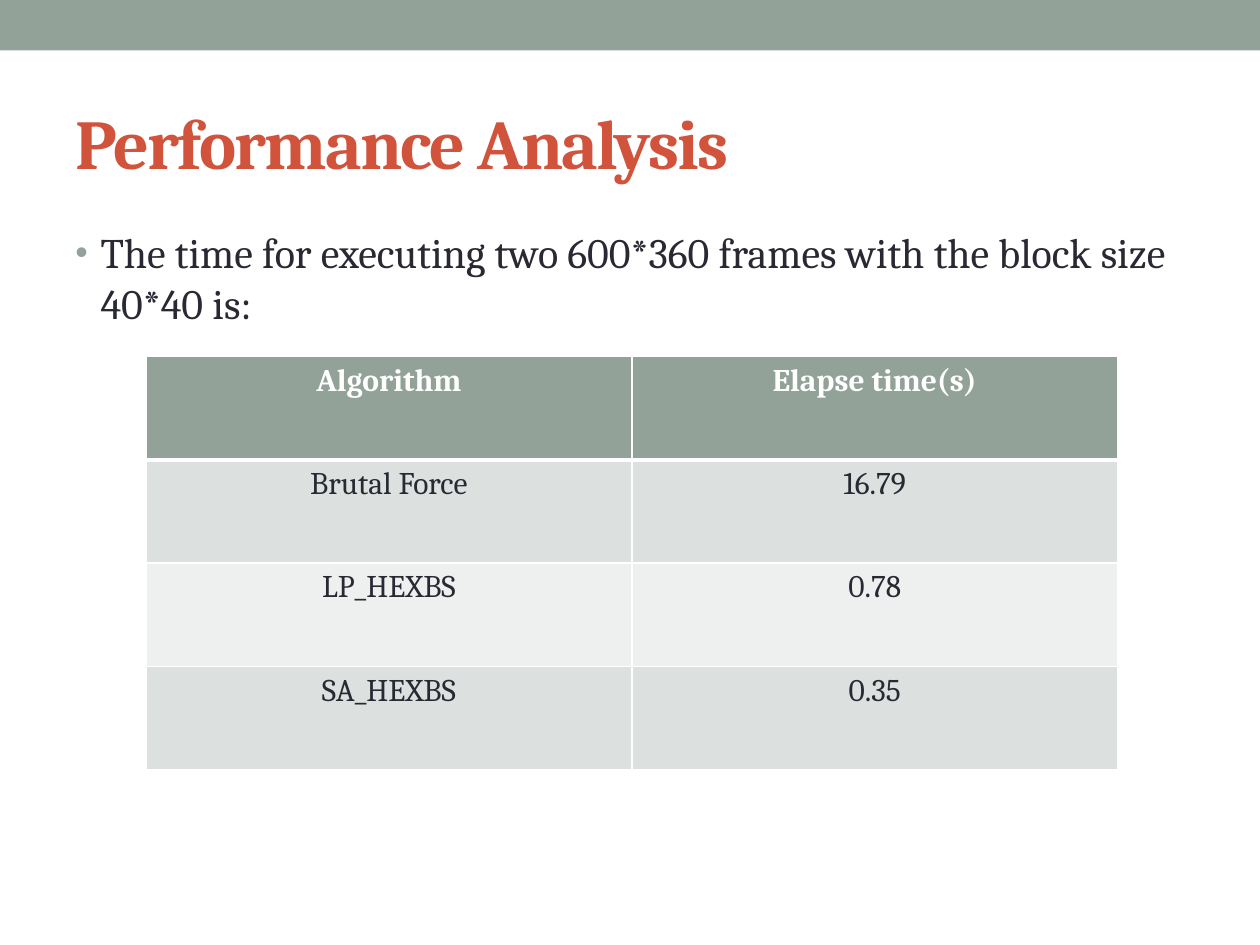
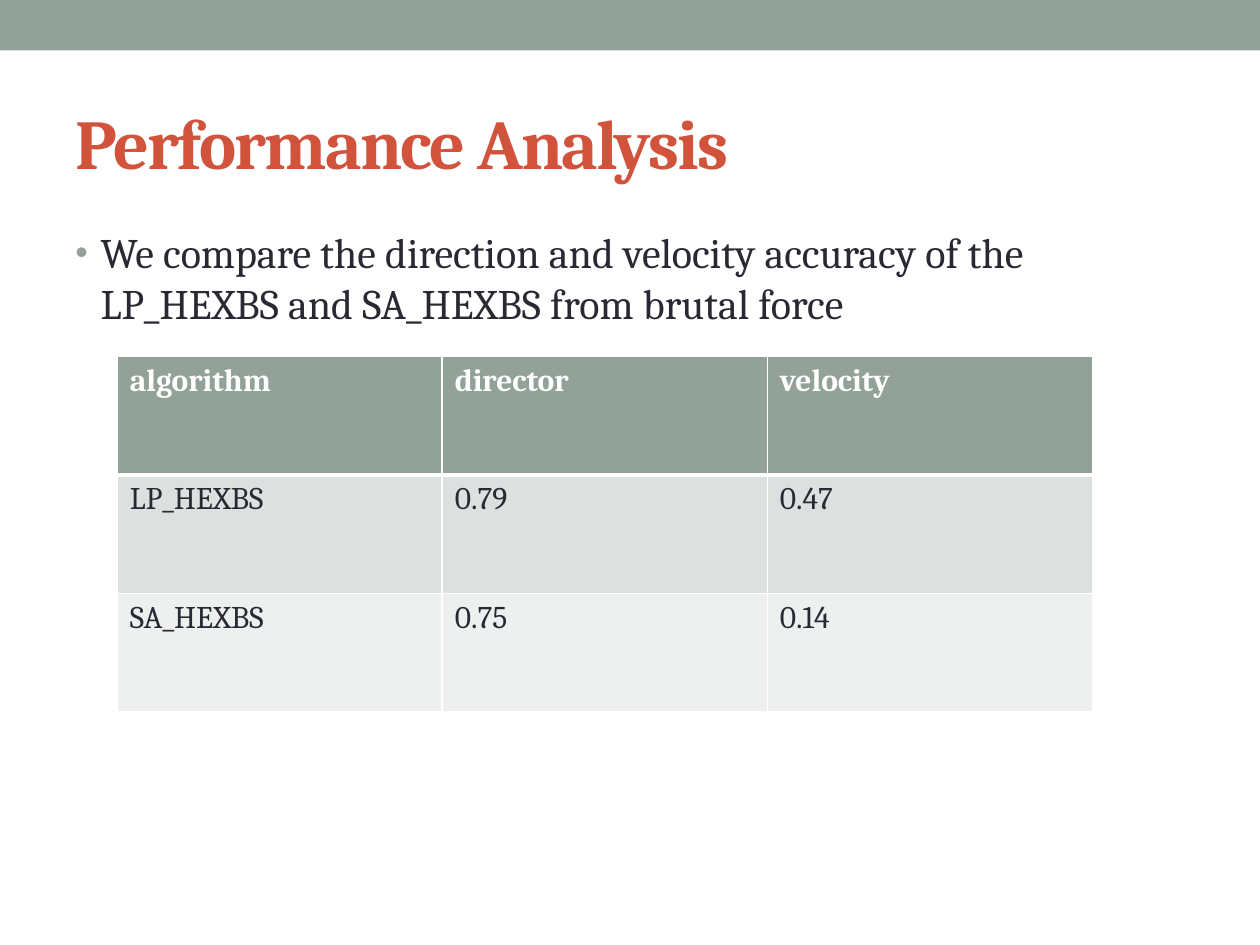
import pptx
import pptx.dml.color
import pptx.enum.shapes
import pptx.enum.text
import pptx.oxml
import pptx.oxml.ns
import pptx.util
from pptx.util import Inches

RGBColor = pptx.dml.color.RGBColor
SAGE = RGBColor(0x93, 0xA2, 0x99)
BRICK = RGBColor(0xD2, 0x53, 0x3C)
INK = RGBColor(0x29, 0x29, 0x34)
WHITE = RGBColor(0xFF, 0xFF, 0xFF)
ROW_SHADES = (RGBColor(0xDC, 0xE0, 0xDE), RGBColor(0xEE, 0xF0, 0xEF))
FONT = "Cambria"
LEFT_ALIGN = pptx.enum.text.PP_ALIGN.LEFT
CENTER_ALIGN = pptx.enum.text.PP_ALIGN.CENTER


def xml_element(markup):
    """Parse one element given without its "a:" namespace declaration."""
    tag, rest = markup[1:].split(" ", 1)
    return pptx.oxml.parse_xml(f"<{tag} {pptx.oxml.ns.nsdecls('a')} {rest}")


class SlideBuilder:
    """Draws the shared slide style on the current slide."""

    def __init__(self, deck):
        self.deck = deck
        self.slide = None

    def new_slide(self, title):
        self.slide = self.deck.slides.add_slide(self.deck.slide_layouts[6])
        self.band()
        self.title(title)

    def band(self):
        band = self.slide.shapes.add_shape(
            pptx.enum.shapes.MSO_SHAPE.RECTANGLE, 0, 0, self.deck.slide_width, Inches(0.4))
        band.shadow.inherit = False
        band.fill.solid()
        band.fill.fore_color.rgb = SAGE
        band.line.fill.background()

    def style(self, paragraph, size, color, bold=False):
        for span in paragraph.runs:
            span.font.name = FONT
            span.font.size = pptx.util.Pt(size)
            span.font.color.rgb = color
            span.font.bold = bold

    def text(self, words, top, height, size, color, bold=False):
        box = self.slide.shapes.add_textbox(Inches(0.5), Inches(top), Inches(9), Inches(height))
        box.text_frame.word_wrap = True
        box.text_frame.text = words
        para = box.text_frame.paragraphs[0]
        self.style(para, size, color, bold)
        return box.text_frame, para

    def title(self, words):
        frame, para = self.text(words, 0.58, 1.08, 40, BRICK, bold=True)
        frame.vertical_anchor = pptx.enum.text.MSO_ANCHOR.MIDDLE
        para.runs[0].font._element.set("spc", "-100")

    def bullet(self, words):
        _, para = self.text(words, 1.75, 1.04, 24, INK)
        properties = para._p.get_or_add_pPr()
        properties.set("marL", str(Inches(0.2)))
        properties.set("indent", str(Inches(-0.2)))
        for markup in (
            '<a:spcBef ><a:spcPct val="20000"/></a:spcBef>',
            f'<a:buClr ><a:srgbClr val="{SAGE}"/></a:buClr>',
            '<a:buSzPct val="85000"/>',
            '<a:buFont typeface="Arial"/>',
            '<a:buChar char="•"/>',
        ):
            properties.append(xml_element(markup))

    def borders(self, cell, top, bottom):
        """Give a cell white borders; widths are in points."""
        widths = {"lnL": 1, "lnR": 1, "lnT": top, "lnB": bottom}
        properties = cell._tc.get_or_add_tcPr()
        for index, (side, width) in enumerate(widths.items()):
            properties.insert(index, xml_element(
                f'<a:{side} w="{pptx.util.Pt(width)}"><a:solidFill>'
                f'<a:srgbClr val="{WHITE}"/></a:solidFill></a:{side}>'))

    def table(self, rows, left, width, row_height, alignment=LEFT_ALIGN):
        """Draw a table whose first row is the header."""
        table = self.slide.shapes.add_table(
            len(rows), len(rows[0]), Inches(left), Inches(2.83),
            Inches(width), Inches(row_height * len(rows))).table
        for row_index, row in enumerate(rows):
            header = row_index == 0
            for column_index, words in enumerate(row):
                cell = table.cell(row_index, column_index)
                cell.text = words
                para = cell.text_frame.paragraphs[0]
                para.alignment = alignment
                self.style(para, 18, WHITE if header else INK, bold=header)
                cell.fill.solid()
                cell.fill.fore_color.rgb = SAGE if header else ROW_SHADES[(row_index - 1) % 2]
                self.borders(cell, top=3 if row_index == 1 else 1, bottom=3 if header else 1)


def main():
    deck = pptx.Presentation()
    deck.slide_width, deck.slide_height = Inches(10), Inches(7.5)
    builder = SlideBuilder(deck)

    builder.new_slide("Performance Analysis")
    builder.bullet("The time for executing two 600*360 frames with the block size 40*40 is:")
    builder.table(
        [("Algorithm", "Elapse time(s)"),
         ("Brutal Force", "16.79"),
         ("LP_HEXBS", "0.78"),
         ("SA_HEXBS", "0.35")],
        left=1.16, width=7.71, row_height=0.82, alignment=CENTER_ALIGN)

    builder.new_slide("Performance Analysis")
    builder.bullet("We compare the direction and velocity accuracy of the "
                   "LP_HEXBS and SA_HEXBS from brutal force")
    builder.table(
        [("algorithm", "director", "velocity"),
         ("LP_HEXBS", "0.79", "0.47"),
         ("SA_HEXBS", "0.75", "0.14")],
        left=0.93, width=7.74, row_height=0.94)

    deck.save("out.pptx")


if __name__ == "__main__":
    main()
